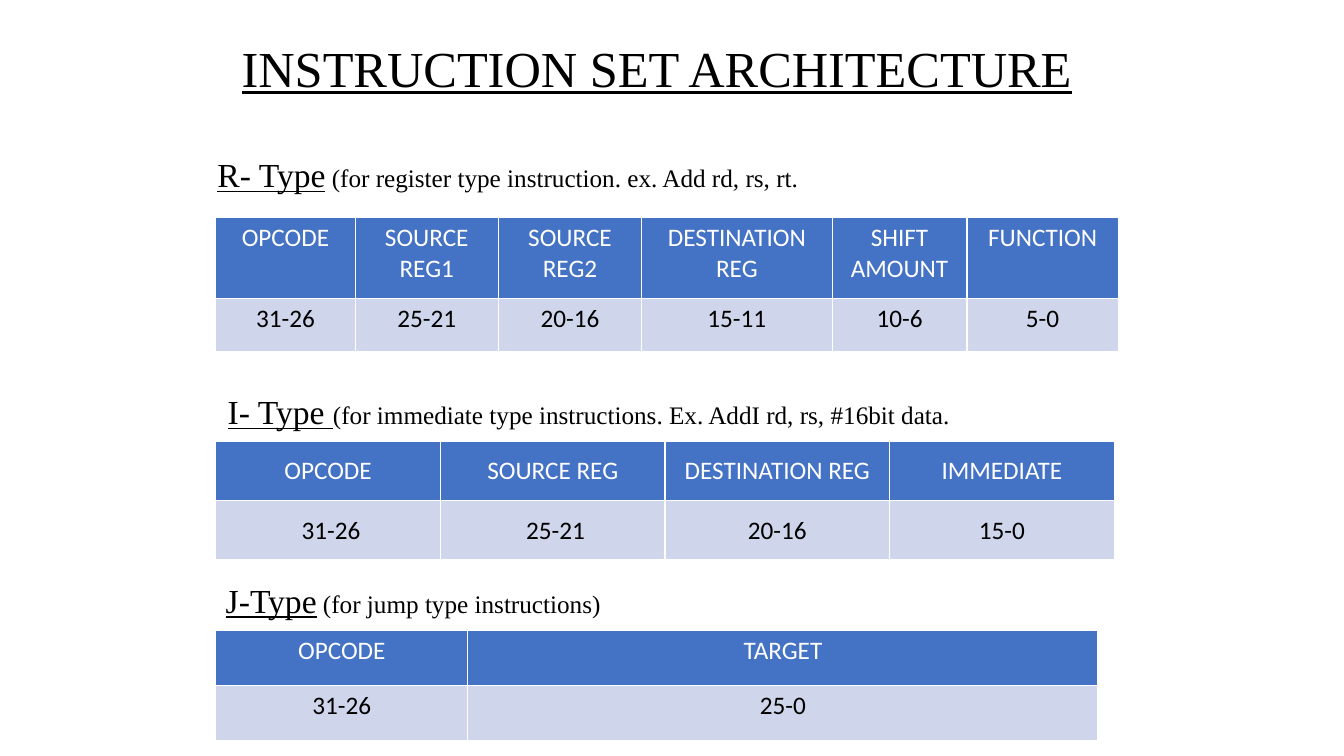
from pptx import Presentation
from pptx import util as u
from pptx.dml import color
from pptx.enum import text

LEFT = 5.44


def rgb(value):
    return color.RGBColor.from_string(value)


class InstructionSlide:
    """Hold the style and the current slide, and add each kind of element."""

    serif, sans = "Times New Roman", "Calibri"
    black, white = "000000", "FFFFFF"
    header_fill, body_fill = "4472C4", "CFD5EA"

    def __init__(self, presentation):
        self.slide = presentation.slides.add_slide(presentation.slide_layouts[5])
        self.slide.background.fill.solid()
        self.slide.background.fill.fore_color.rgb = rgb(self.white)

    def add_run(self, paragraph, words, size, font, ink, underline=False):
        run = paragraph.add_run()
        run.text = words
        run.font.size = u.Pt(size)
        run.font.name = font
        run.font.bold = False
        run.font.underline = underline
        run.font.color.rgb = rgb(ink)

    def add_title(self, words, left, top, width, height):
        title = self.slide.shapes.title
        title.left, title.top = u.Cm(left), u.Cm(top)
        title.width, title.height = u.Cm(width), u.Cm(height)
        frame = title.text_frame
        frame.auto_size = text.MSO_AUTO_SIZE.NONE
        frame.vertical_anchor = text.MSO_ANCHOR.MIDDLE
        paragraph = frame.paragraphs[0]
        paragraph.alignment = text.PP_ALIGN.CENTER
        paragraph.line_spacing = 0.9
        self.add_run(paragraph, words, 36, self.serif, self.black, True)

    def add_heading(self, name, note, left, top, width):
        box = self.slide.shapes.add_textbox(u.Cm(left), u.Cm(top), u.Cm(width), u.Cm(1.27))
        frame = box.text_frame
        frame.word_wrap = True
        frame.auto_size = text.MSO_AUTO_SIZE.SHAPE_TO_FIT_TEXT
        paragraph = frame.paragraphs[0]
        self.add_run(paragraph, name, 24, self.serif, self.black, True)
        self.add_run(paragraph, note, 18, self.serif, self.black)

    def add_format(self, fields, top, widths, heights, anchor):
        table = self.slide.shapes.add_table(
            2, len(fields), u.Cm(LEFT), u.Cm(top), u.Cm(sum(widths)), u.Cm(sum(heights))
        ).table
        for row, height in zip(table.rows, heights):
            row.height = u.Cm(height)
        looks = [(self.header_fill, self.white), (self.body_fill, self.black)]
        for index, (field, width) in enumerate(zip(fields, widths)):
            table.columns[index].width = u.Cm(width)
            for row, (words, (fill, ink)) in enumerate(zip(field, looks)):
                cell = table.cell(row, index)
                cell.fill.solid()
                cell.fill.fore_color.rgb = rgb(fill)
                cell.vertical_anchor = anchor
                paragraph = cell.text_frame.paragraphs[0]
                paragraph.alignment = text.PP_ALIGN.CENTER
                self.add_run(paragraph, words, 18, self.sans, ink)


def main():
    presentation = Presentation()
    presentation.slide_width, presentation.slide_height = u.Cm(33.87), u.Cm(19.05)
    page = InstructionSlide(presentation)
    page.add_title("INSTRUCTION SET ARCHITECTURE", LEFT, 0.64, 22.23, 2.29)

    page.add_heading(
        "R- Type", " (for register type instruction. ex. Add rd, rs, rt.", 5.23, 3.76, 18.31
    )
    page.add_format(
        [
            ("OPCODE", "31-26"),
            ("SOURCE REG1", "25-21"),
            ("SOURCE REG2", "20-16"),
            ("DESTINATION REG", "15-11"),
            ("SHIFT AMOUNT", "10-6"),
            ("FUNCTION", "5-0"),
        ],
        5.49, [3.51, 3.61, 3.61, 4.8, 3.4, 3.81], [2.03, 1.35], text.MSO_ANCHOR.TOP,
    )

    page.add_heading(
        "I- Type ", "(for immediate type instructions. Ex. AddI rd, rs, #16bit data.",
        5.49, 9.73, 19.43,
    )
    page.add_format(
        [
            ("OPCODE", " 31-26"),
            ("SOURCE REG", " 25-21"),
            ("DESTINATION REG", "20-16"),
            ("IMMEDIATE", "15-0"),
        ],
        11.13, [5.66] * 4, [1.49] * 2, text.MSO_ANCHOR.MIDDLE,
    )

    page.add_heading("J-Type", " (for jump type instructions)", LEFT, 14.48, 18.9)
    page.add_format(
        [("OPCODE", "31-26"), ("TARGET", "25-0")],
        15.88, [6.35, 15.88], [1.39] * 2, text.MSO_ANCHOR.TOP,
    )
    presentation.save("out.pptx")


if __name__ == "__main__":
    main()
